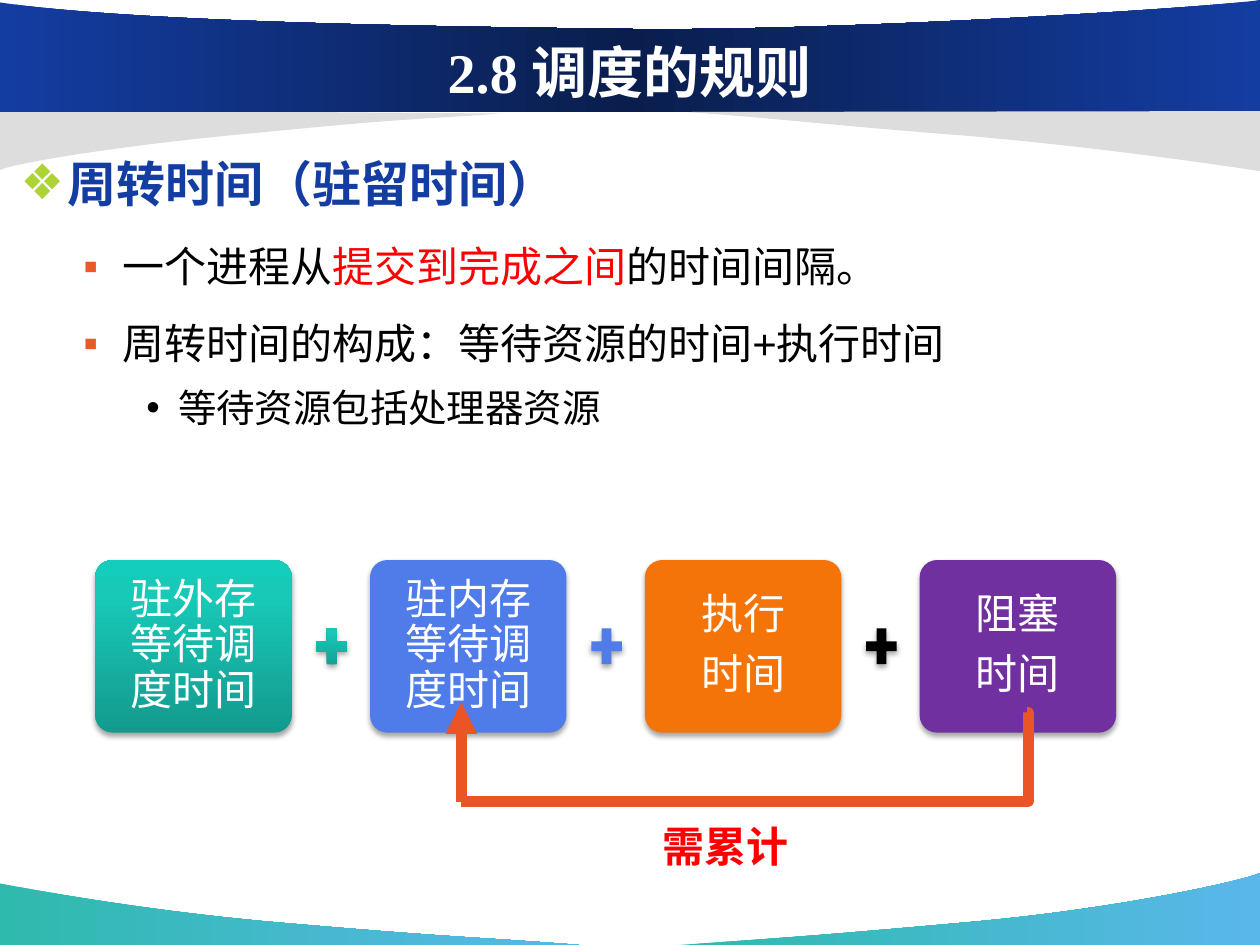
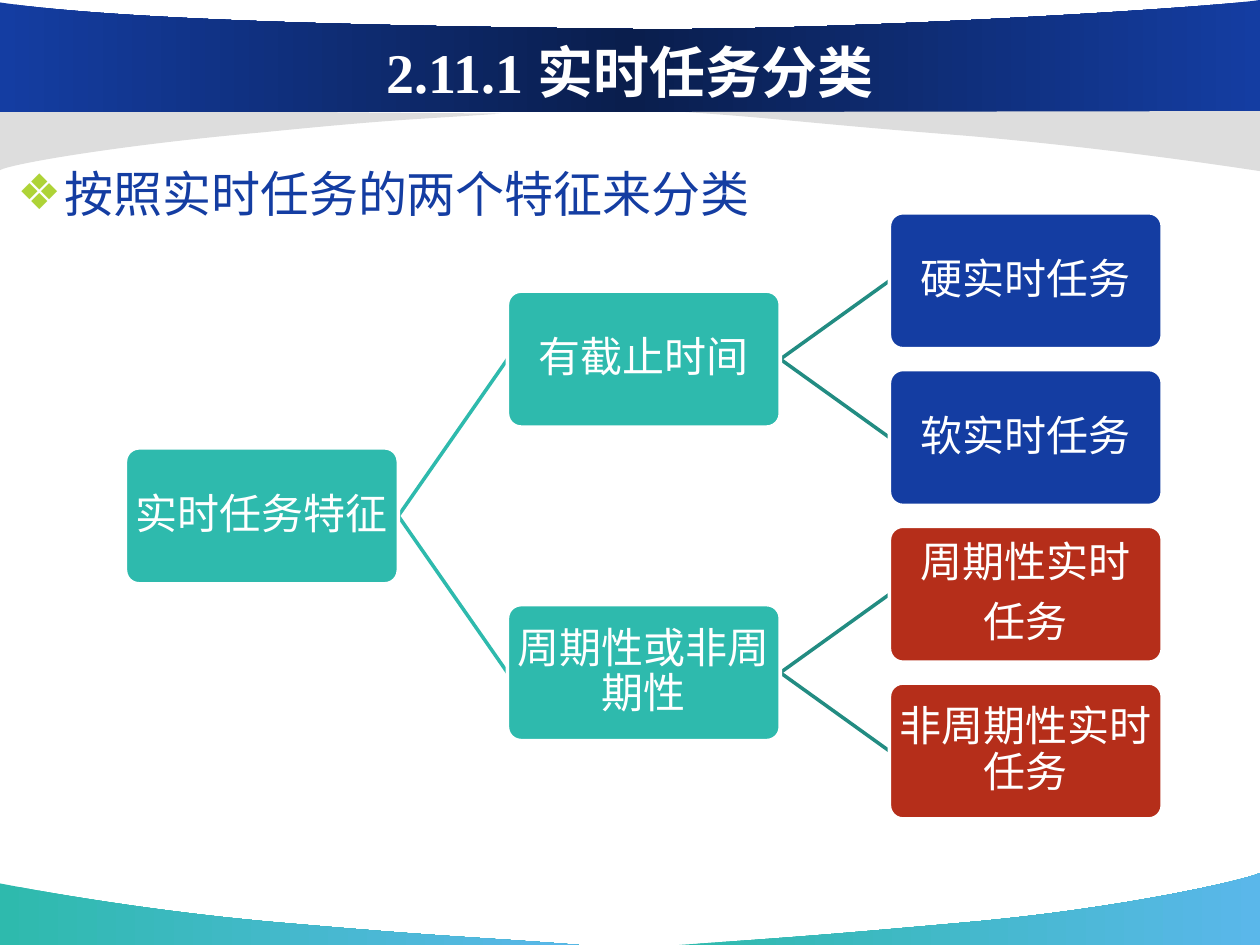
from itertools import count

from lxml.etree import SubElement as Sub
from pptx import Presentation
from pptx.dml.color import RGBColor as Rgb
from pptx.enum.shapes import MSO_CONNECTOR as Link, MSO_SHAPE as Kind
from pptx.enum.text import MSO_ANCHOR as Anchor, PP_ALIGN as Align
from pptx.oxml.ns import qn
from pptx.util import Cm, Pt

WIDE, HIGH = 25.4, 19.05
BLUE, TEAL, GREY, WHITE = "143DA2", "2EBAAD", "DDDDDD", "FFFFFF"
BLACK, RED, BRICK, RUST = "000000", "FF0000", "B52E1A", "EB5525"
PINE = "228C82"
SEA = [(0, TEAL), (100, "5AB7EA")]
NIGHT = [(0, BLUE), (50, "0A1E4D"), (100, BLUE)]
MINT = [(0, "139A8E"), (80, "18C9B8"), (100, "15CDBC")]

# Each band: fill, seven points of a double curve, then its corners
BANDS = [
    (SEA, [(11.68, HIGH), (9.75, 18.9), (9.09, 18.9), (5.89, 18.62),
           (2.69, 18.36), (0.03, 17.81), (0, 17.81)], [(0, HIGH)]),
    (SEA, [(13.69, HIGH), (15.6, 18.92), (16.41, 18.87), (19.53, 18.59),
           (22.66, 18.31), (25.15, 17.73), (WIDE, 17.6)], [(WIDE, HIGH)]),
    (GREY, [(10.11, 2.29), (8.41, 2.41), (8.08, 2.39), (5.28, 2.67),
            (2.46, 2.92), (0.23, 3.3), (0, 3.43)], [(0, 2.21)]),
    (NIGHT, [(WIDE, 0), (24.49, 0.15), (16.59, 0.66), (12.37, 0.58),
             (8.15, 0.53), (2.57, 0.43), (0, 0.05)], [(0, 2.26), (WIDE, 2.26)]),
    (GREY, [(13.82, 2.26), (15.75, 2.39), (16.31, 2.49), (19.51, 2.74),
            (22.71, 3.02), (25.37, 3.45), (WIDE, 3.45)], [(WIDE, 2.24)]),
]

# Outline levels: indent, hang, line spacing, bullet, bullet colour, size
LEVELS = [(0.95, 0.95, 1.2, "❖", "AED337", 28),
          (2.06, 0.79, 1.2, "▪", "EB592B", 24),
          (3.18, 0.64, 1.0, "•", BLACK, 22)]

CARDS = [("驻外存等待调度时间", MINT), ("驻内存等待调度时间", "507CE9"),
         ("执行\n时间", "F4740A"), ("阻塞\n时间", "7030A0")]
SIGNS = [MINT, "507CE9", BLACK]

TREE = ("实时任务特征", TEAL, [
    ("有截止时间", TEAL, [("硬实时任务", BLUE, []), ("软实时任务", BLUE, [])]),
    ("周期性或非周期性", TEAL, [("周期性实时\n任务", BRICK, []),
                         ("非周期性实时任务", BRICK, [])])])


def tint(code):
    return Rgb.from_string(code)


def paint(shape, fill, line=None, width=0, angle=0):
    """Fill with one colour or a list of gradient stops, and set the outline."""
    if isinstance(fill, str):
        shape.fill.solid()
        shape.fill.fore_color.rgb = tint(fill)
    else:
        shape.fill.gradient()
        shape.fill.gradient_angle = angle
        stops = next(shape.element.iter(qn("a:gsLst")))
        for old in list(stops):
            stops.remove(old)
        for place, code in fill:
            stop = Sub(stops, qn("a:gs"), pos=str(place * 1000))
            Sub(stop, qn("a:srgbClr"), val=code)
    if line:
        shape.line.color.rgb = tint(line)
        shape.line.width = Pt(width)
    else:
        shape.line.fill.background()
    shape.shadow.inherit = False


def shade(shape):
    """Cast a soft shadow straight down."""
    effect = shape.element.spPr.find(qn("a:effectLst"))
    cast = Sub(effect, qn("a:outerShdw"), blurRad=str(Pt(3.1)),
               dist=str(Pt(1.8)), dir="5400000", rotWithShape="0")
    Sub(Sub(cast, qn("a:srgbClr"), val=BLACK), qn("a:alpha"), val="35000")


def style(run, size, code, bold=False, face="Arial"):
    run.font.name, run.font.size, run.font.bold = face, Pt(size), bold
    run.font.color.rgb = tint(code)


def write(shape, text, pad):
    """Centre white lines of text inside a box."""
    frame = shape.text_frame
    frame.text, frame.word_wrap = text, True
    frame.vertical_anchor = Anchor.MIDDLE
    frame.margin_left = frame.margin_right = Cm(pad)
    frame.margin_top = frame.margin_bottom = Cm(pad)
    for para in frame.paragraphs:
        para.alignment, para.line_spacing = Align.CENTER, 0.9
        para.space_after = Pt(8.4)
        for run in para.runs:
            style(run, 24, WHITE)


def add_box(slide, left, top, wide, high, fill, kind=Kind.ROUNDED_RECTANGLE,
            line=None, width=0):
    shape = slide.shapes.add_shape(kind, Cm(left), Cm(top), Cm(wide), Cm(high))
    if kind == Kind.ROUNDED_RECTANGLE:
        shape.adjustments[0] = 0.1
    paint(shape, fill, line, width, angle=90)
    return shape


def add_line(slide, kind, start, end, code, width):
    line = slide.shapes.add_connector(kind, *(Cm(n) for n in start + end))
    line.line.color.rgb = tint(code)
    line.line.width = Pt(width)
    Sub(line.element.spPr, qn("a:effectLst"))
    return line


def bend(shape):
    """Turn the first six straight steps of an outline into two curves."""
    steps = list(shape.element.iter(qn("a:lnTo")))
    for first in (0, 3):
        curve = steps[first]
        curve.tag = qn("a:cubicBezTo")
        for step in steps[first + 1:first + 3]:
            curve.append(step[0])
            step.getparent().remove(step)


def add_bands(slide, layout):
    """Draw the bands and hand them to the layout that slides share."""
    tree = layout.shapes.element
    for spot, (fill, curve, ends) in enumerate(BANDS):
        start, *path = [(Cm(x), Cm(y)) for x, y in curve + ends]
        pen = slide.shapes.build_freeform(*start)
        pen.add_line_segments(path)
        band = pen.convert_to_shape()
        bend(band)
        paint(band, fill)
        band.element.nvSpPr.cNvPr.set("id", str(20 + spot))
        tree.insert(2 + spot, band.element)


def add_title(slide, text):
    title = slide.shapes.title
    title.left, title.top = Cm(1.27), Cm(0.13)
    title.width, title.height = Cm(22.86), Cm(2.59)
    frame = title.text_frame
    frame.text, frame.vertical_anchor = text, Anchor.MIDDLE
    para = frame.paragraphs[0]
    para.alignment = Align.CENTER
    style(para.runs[0], 32, WHITE, True, "Times New Roman")


def add_list(slide, left, top, wide, high, items):
    """Bulleted outline; an item is a level and runs of (text, colour, bold)."""
    frame = slide.shapes.add_textbox(Cm(left), Cm(top), Cm(wide), Cm(high)).text_frame
    frame.word_wrap = True
    for spot, (level, runs) in enumerate(items):
        indent, hang, pitch, mark, code, size = LEVELS[level]
        para = frame.add_paragraph() if spot else frame.paragraphs[0]
        para.level, para.line_spacing = level, pitch
        para.space_before = Pt(size * 0.2 if spot else 0)
        para.space_after = Pt(size * 0.2)
        props = para._p.get_or_add_pPr()
        props.set("marL", str(Cm(indent)))
        props.set("indent", str(-Cm(hang)))
        Sub(Sub(props, qn("a:buClr")), qn("a:srgbClr"), val=code)
        Sub(props, qn("a:buFont"), typeface="Arial")
        Sub(props, qn("a:buChar"), char=mark)
        for text, hue, bold in runs:
            run = para.add_run()
            run.text = text
            style(run, size, hue, bold)


def add_sum(slide, left, top):
    """Row of cards with plus signs between them."""
    pitch, wide, high = 5.54, 3.96, 3.48
    for spot, (text, fill) in enumerate(CARDS):
        x = left + spot * pitch
        card = add_box(slide, x, top, wide, high, fill)
        shade(card)
        write(card, text, 0.3)
        if spot < len(SIGNS):
            sign = add_box(slide, x + 4.35, top + 1.25, 0.84, 0.98,
                           SIGNS[spot], Kind.MATH_PLUS)
            shade(sign)


def add_loop(slide, left, top, wide, high):
    """Arrow from the last card back to the second, with its label."""
    base = top + high
    label = slide.shapes.add_textbox(Cm(left + 3.81), Cm(base + 0.26), Cm(3.81), Cm(1.27))
    frame = label.text_frame
    frame.text, frame.word_wrap = "需累计", True
    style(frame.paragraphs[0].runs[0], 24, RED, True)
    elbow = add_line(slide, Link.ELBOW, (left + wide, top), (left, base), RUST, 6)
    guides = elbow.element.spPr.prstGeom.get_or_add_avLst()
    Sub(guides, qn("a:gd"), name="adj1", fmla="val -300")
    arrow = add_line(slide, Link.STRAIGHT, (left, base), (left, top - 0.2), RUST, 6)
    Sub(arrow.element.spPr.get_or_add_ln(), qn("a:tailEnd"), type="triangle")


def add_tree(slide, left, top, node, rows=None, depth=0):
    """Place leaves row by row and centre each parent on its children."""
    wide, high, pitch, step = 5.5, 2.74, 3.16, 7.7
    rows = rows or count()
    text, fill, below = node
    kids = [add_tree(slide, left, top, kid, rows, depth + 1) for kid in below]
    if kids:
        y = (kids[0].top + kids[-1].top) / 2 / Cm(1)
    else:
        y = top + next(rows) * pitch
    box = add_box(slide, left + depth * step, y, wide, high, fill, line=WHITE, width=2)
    write(box, text, 0.04)
    for kid in kids:
        line = add_line(slide, Link.STRAIGHT, (0, 0), (1, 1), PINE if depth else TEAL, 2)
        line.begin_connect(box, 3)
        line.end_connect(kid, 1)
        slide.shapes.element.insert(2, line.element)
    return box


def turn_slide(slide):
    add_title(slide, "2.8 调度的规则")
    add_sum(slide, 1.92, 11.29)
    add_loop(slide, 9.3, 14.36, 11.4, 1.8)
    add_list(slide, 0.16, 2.73, 25.1, 7.19, [
        (0, [("周转时间（驻留时间）", BLUE, True)]),
        (1, [("一个进程从", BLACK, False), ("提交到完成之间", RED, False),
             ("的时间间隔。", BLACK, False)]),
        (1, [("周转时间的构成：等待资源的时间+执行时间", BLACK, False)]),
        (2, [("等待资源包括处理器资源", BLACK, False)])])


def class_slide(slide):
    add_title(slide, "2.11.1 实时任务分类")
    add_list(slide, 0.1, 2.93, 22.86, 12.57,
             [(0, [("按照实时任务的两个特征来分类", BLUE, False)])])
    add_tree(slide, 2.53, 4.29, TREE)


def main():
    deck = Presentation()
    deck.slide_width, deck.slide_height = Cm(WIDE), Cm(HIGH)
    layout = deck.slide_layouts[5]
    first, second = (deck.slides.add_slide(layout) for _ in range(2))
    add_bands(first, layout)
    turn_slide(first)
    class_slide(second)
    deck.save("out.pptx")


if __name__ == "__main__":
    main()
